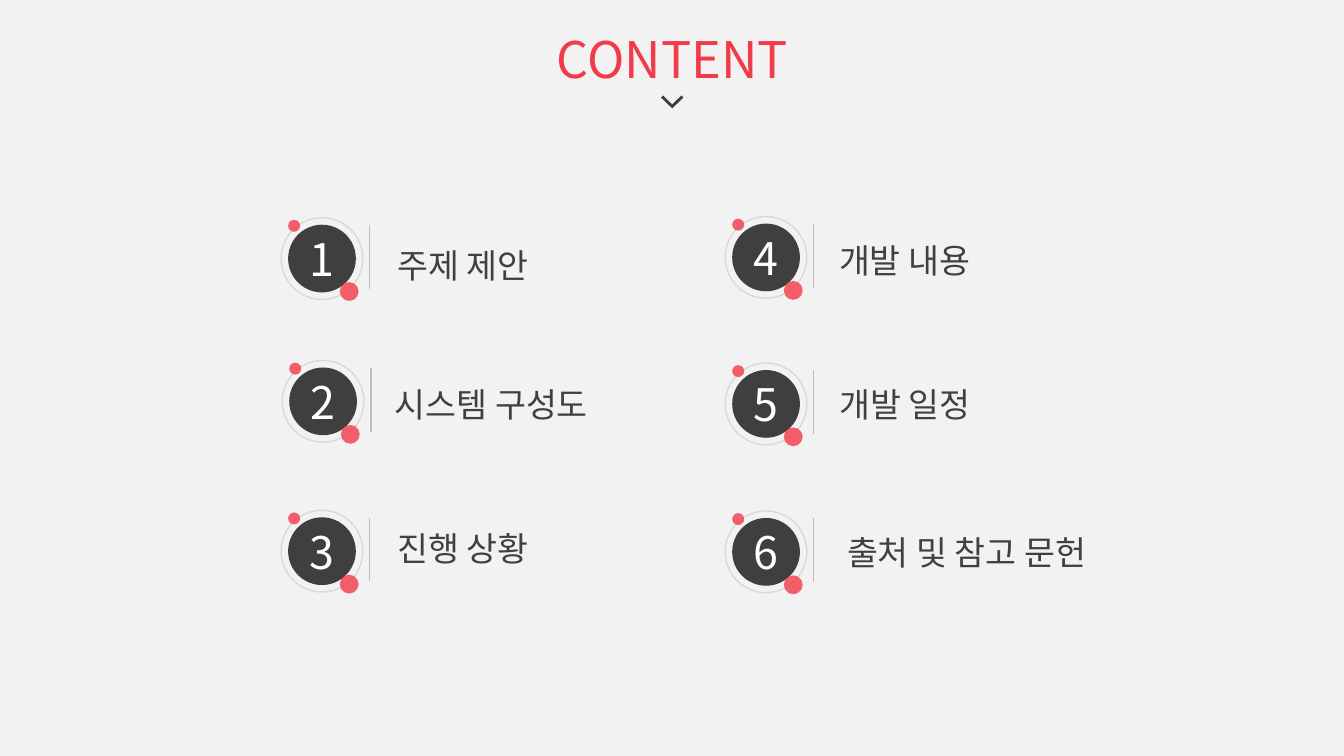
from lxml import etree
from pptx import Presentation
from pptx.dml.color import RGBColor
from pptx.enum.shapes import MSO_CONNECTOR, MSO_SHAPE
from pptx.enum.text import MSO_ANCHOR, MSO_AUTO_SIZE, PP_ALIGN
from pptx.oxml.ns import qn
from pptx.util import Pt

OVAL, LINE = MSO_SHAPE.OVAL, MSO_CONNECTOR.STRAIGHT
TOP, MIDDLE = MSO_ANCHOR.TOP, MSO_ANCHOR.MIDDLE
CENTER, FIXED = PP_ALIGN.CENTER, MSO_AUTO_SIZE.NONE
LATIN, KOREAN = "Noto Sans CJK SC", "Noto Sans CJK KR"
PAPER, DARK, RED = "F2F2F2", "3F3F3F", "F23B48"
WHITE, TEXT, RING, RULE = "FFFFFF", "404040", "D9D9D9", "BFBFBF"

# number, badge left and top, label, label left, top and width
ITEMS = [
    ("1", 200.8, 155.5, "주제 제안", 241.9, 171.4, 177.8),
    ("2", 201.6, 257.5, "시스템 구성도", 262.1, 270.7, 177.8),
    ("3", 200.8, 364.5, "진행 상황", 241.9, 373.7, 177.8),
    ("4", 518, 154.7, "개발 내용", 557.3, 167.8, 177.8),
    ("5", 518, 259.3, "개발 일정", 571.7, 270.7, 149.8),
    ("6", 518, 365, "출처 및 참고 문헌", 581, 376.6, 218.9),
]
CHEVRON = [(486.7, 68.2), (488.2, 69.7), (480.2, 77.4),
           (472.2, 69.7), (473.7, 68.2), (480.2, 74.6)]


def paint(target, color):
    """Give a fill or line format one solid colour."""
    target.solid()
    target.fore_color.rgb = RGBColor.from_string(color)


def write(frame, text, size, font, color):
    """Put one centred run in a text frame."""
    para = frame.paragraphs[0]
    para.alignment = CENTER
    run = para.add_run()
    run.text = text
    run.font.size = Pt(size)
    run.font.name = font
    paint(run.font.fill, color)
    etree.SubElement(run.font._element, qn("a:ea")).set("typeface", font)


def disc(group, left, top, size, color, alpha=None):
    """Draw a filled circle without an outline."""
    shape = group.shapes.add_shape(OVAL, Pt(left), Pt(top), Pt(size), Pt(size))
    shape.shadow.inherit = False
    shape.line.fill.background()
    paint(shape.fill, color)
    if alpha:
        tone = shape.fill._xPr.find(".//" + qn("a:srgbClr"))
        etree.SubElement(tone, qn("a:alpha")).set("val", str(alpha * 1000))
    return shape


def ring(group, left, top, size):
    """Draw a thin open circle."""
    shape = disc(group, left, top, size, RING)
    shape.fill.background()
    paint(shape.line.fill, RING)
    shape.line.width = Pt(1)


def rule(group, left, top, height):
    """Draw a thin upright line."""
    line = group.shapes.add_connector(
        LINE, Pt(left), Pt(top), Pt(left), Pt(top + height))
    paint(line.line.fill, RULE)
    line.line.width = Pt(1)
    etree.SubElement(line._element.spPr, qn("a:effectLst"))


def badge(slide, number, left, top):
    """Draw a numbered disc with its ring, dots and rule."""
    group = slide.shapes.add_group_shape()
    core = disc(group, left + 5, top + 5, 48.4, DARK)
    frame = core.text_frame
    frame.margin_left = frame.margin_right = 0
    frame.margin_top = frame.margin_bottom = 0
    frame.vertical_anchor = MIDDLE
    write(frame, number, 32, LATIN, WHITE)
    ring(group, left, top, 58.4)
    disc(group, left + 41.9, top + 46, 13.5, RED, 80)
    disc(group, left + 5, top + 1.5, 8.6, RED, 80)
    rule(group, left + 63.3, top + 5.2, 45.6)


def label(slide, text, left, top, width):
    """Add the name of a section."""
    box = slide.shapes.add_textbox(Pt(left), Pt(top), Pt(width), Pt(36))
    box.text_frame.word_wrap = True
    write(box.text_frame, text, 24, KOREAN, TEXT)


def head(slide, text):
    """Place the title and the chevron under it."""
    title = slide.shapes.title
    title.left, title.top = Pt(377.2), Pt(16.5)
    title.width, title.height = Pt(206), Pt(51)
    frame = title.text_frame
    frame.auto_size = FIXED
    frame.vertical_anchor = TOP
    write(frame, text, 36, LATIN, RED)
    first, *rest = [(Pt(x), Pt(y)) for x, y in CHEVRON]
    path = slide.shapes.build_freeform(*first)
    path.add_line_segments(rest, close=True)
    mark = path.convert_to_shape()
    mark.shadow.inherit = False
    mark.line.fill.background()
    paint(mark.fill, DARK)


def main():
    """Build and save the contents slide."""
    deck = Presentation()
    deck.slide_width, deck.slide_height = Pt(960), Pt(540)
    slide = deck.slides.add_slide(deck.slide_layouts.get_by_name("Title Only"))
    paint(slide.background.fill, PAPER)
    head(slide, "CONTENT")
    for number, left, top, text, *place in ITEMS:
        badge(slide, number, left, top)
        label(slide, text, *place)
    deck.save("out.pptx")


if __name__ == "__main__":
    main()
